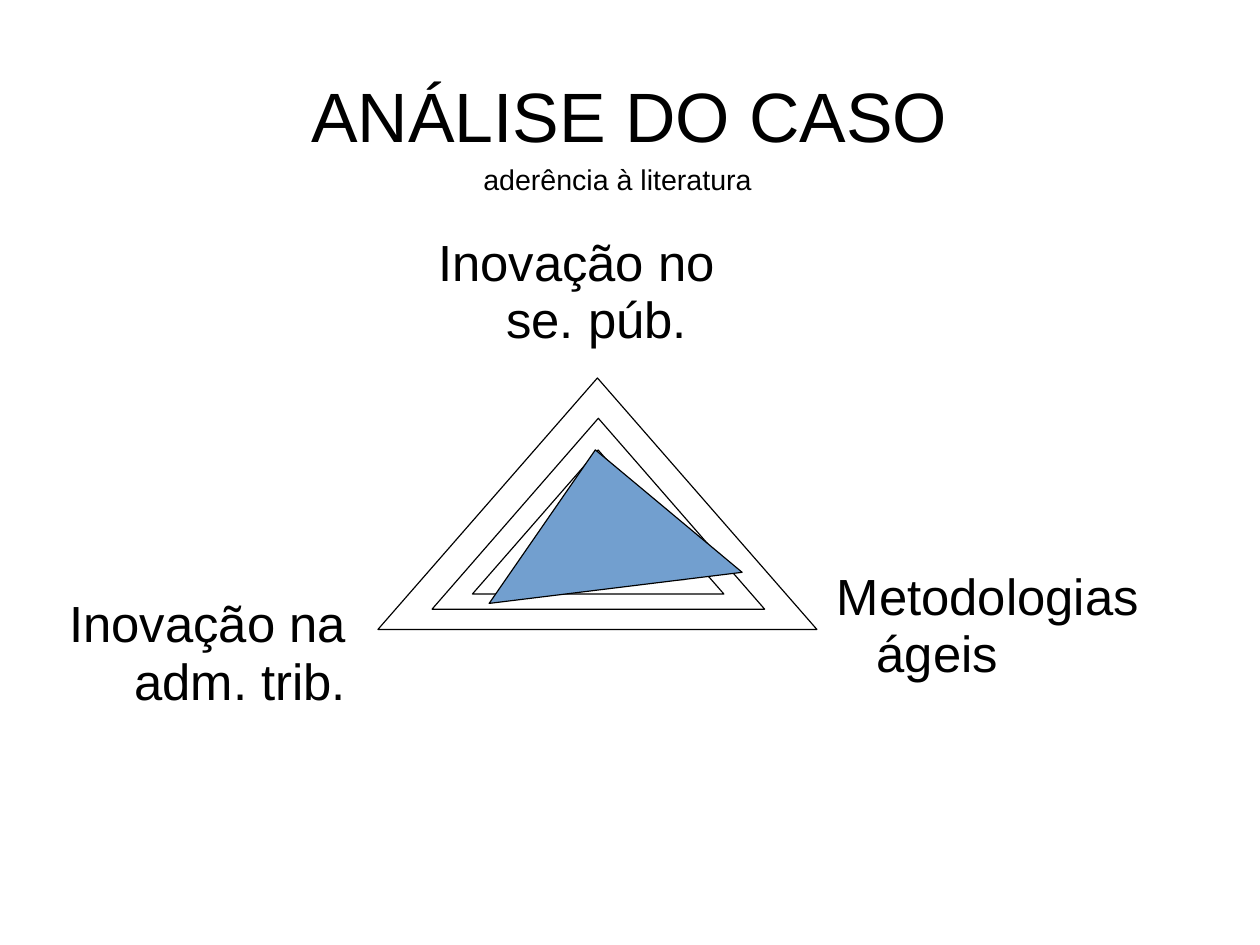
from typing import NamedTuple

from pptx import Presentation
from pptx.dml.color import RGBColor
from pptx.enum.shapes import MSO_SHAPE as Preset
from pptx.enum.text import MSO_ANCHOR as Anchor, PP_ALIGN as Align
from pptx.util import Pt

BLACK = RGBColor(0x00, 0x00, 0x00)
BLUE = RGBColor(0x72, 0x9F, 0xCF)
FONT = "Arial"


class Box(NamedTuple):
    left: float
    top: float
    width: float
    height: float


class AxisLabel(NamedTuple):
    text: str
    left: float
    top: float
    align: Align


class Triangle(NamedTuple):
    box: Box
    fill: RGBColor | None = None
    apex: float = 0.5
    rotation: float = 0


LABEL_WIDTH, LABEL_HEIGHT = 229.68, 164.88
AXIS_LABELS = [
    AxisLabel("Inovação no se. púb.", 244.08, 146.88, Align.CENTER),
    AxisLabel("Metodologias ágeis", 518.4, 357.12, Align.LEFT),
    AxisLabel("Inovação na adm. trib.", -11.52, 374.4, Align.RIGHT),
]
TRIANGLES = [
    Triangle(Box(238.1, 238.1, 276.48, 158.4)),
    Triangle(Box(272.16, 263.52, 209.52, 120.24)),
    Triangle(Box(297.6, 283.5, 158.4, 90.72)),
    Triangle(Box(323.28, 303.12, 108, 61.92)),
    Triangle(Box(345.6, 323.28, 56.88, 32.4)),
    Triangle(Box(302.2, 282.8, 160.56, 87.84), BLUE, 0.487, 353),
]


def add_text(slide, text: str, box: Box, *, size: float, align: Align = Align.LEFT,
             anchor: Anchor = Anchor.TOP, insets: tuple = (0, 1.6, 0, 0),
             wrap: bool = True, hanging: tuple | None = None,
             space_after: float = 0) -> None:
    frame = slide.shapes.add_textbox(*map(Pt, box)).text_frame
    frame.word_wrap = wrap
    frame.vertical_anchor = anchor
    (frame.margin_left, frame.margin_top,
     frame.margin_right, frame.margin_bottom) = map(Pt, insets)
    paragraph = frame.paragraphs[0]
    paragraph.alignment = align
    paragraph.line_spacing = 0.94
    paragraph.space_after = Pt(space_after)
    if hanging:
        properties = paragraph._p.get_or_add_pPr()
        for name, length in zip(("marL", "indent"), hanging):
            properties.set(name, str(Pt(length)))
    run = paragraph.add_run()
    run.text = text
    run.font.name = FONT
    run.font.size = Pt(size)
    run.font.color.rgb = BLACK


def add_triangle(slide, triangle: Triangle) -> None:
    shape = slide.shapes.add_shape(Preset.ISOSCELES_TRIANGLE, *map(Pt, triangle.box))
    shape.adjustments[0] = triangle.apex
    shape.rotation = triangle.rotation
    shape.shadow.inherit = False
    shape.line.color.rgb = BLACK
    shape.line.width = Pt(0.75)
    if triangle.fill is None:
        shape.fill.background()
    else:
        shape.fill.solid()
        shape.fill.fore_color.rgb = triangle.fill


def main() -> None:
    deck = Presentation()
    deck.slide_width, deck.slide_height = Pt(793.7), Pt(595.28)
    slide = deck.slides.add_slide(deck.slide_layouts[6])
    add_text(slide, "ANÁLISE DO CASO", Box(39.6, 23.76, 714.24, 99.36), size=44,
             align=Align.CENTER, anchor=Anchor.MIDDLE, insets=(0, 2.88, 0, 0))
    for label in AXIS_LABELS:
        add_text(slide, label.text, Box(label.left, label.top, LABEL_WIDTH, LABEL_HEIGHT),
                 size=32, align=label.align, hanging=(33.84, -25.2), space_after=14.3)
    for triangle in TRIANGLES:
        add_triangle(slide, triangle)
    add_text(slide, "aderência à literatura", Box(297.36, 99.36, 185, 27.36),
             size=18, insets=(7.2, 4.32, 7.2, 3.6), wrap=False)
    deck.save("out.pptx")


if __name__ == "__main__":
    main()
